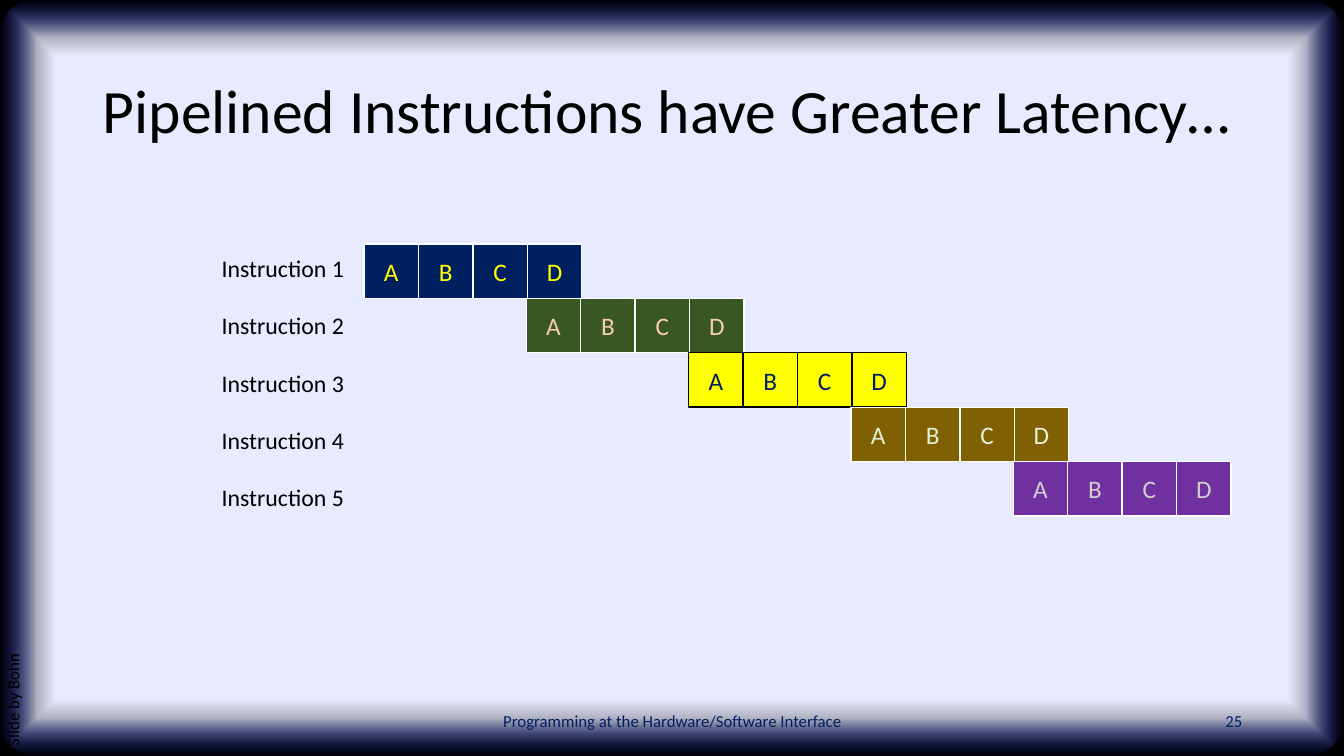
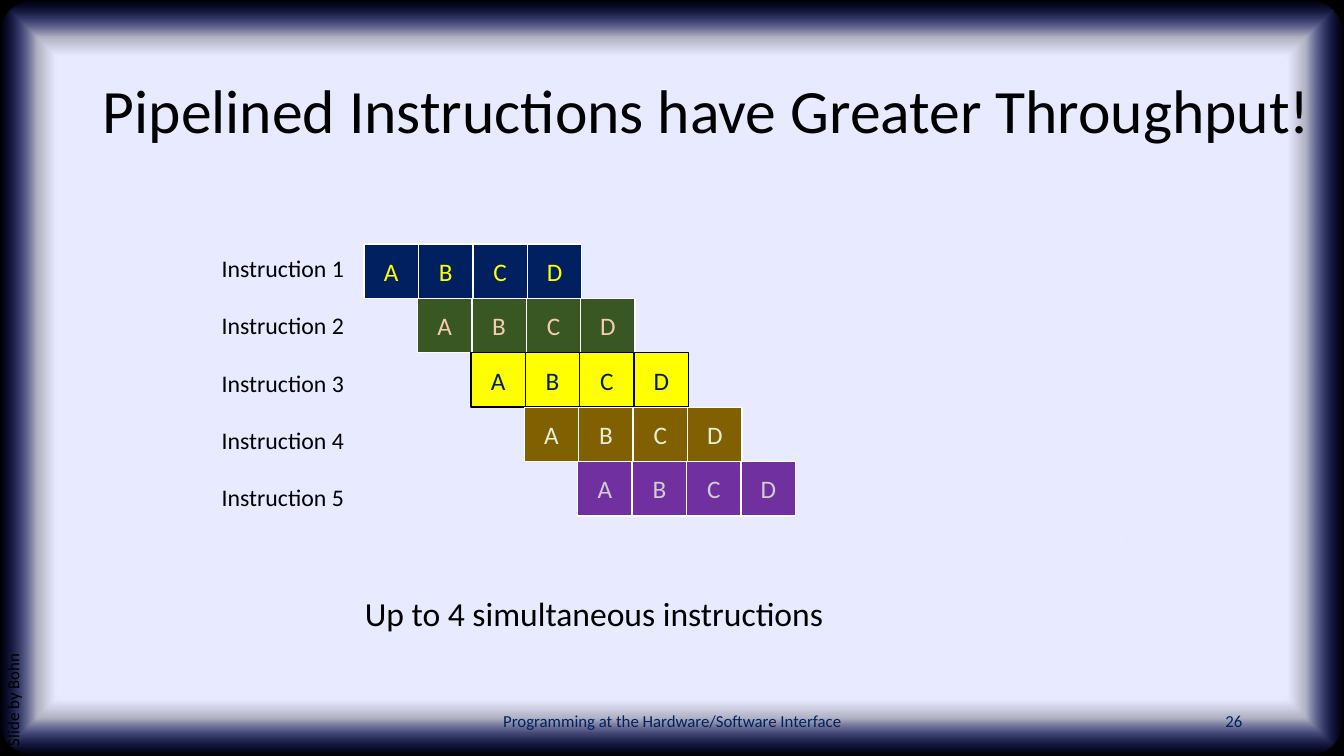
import pptx
import pptx.dml.color
import pptx.enum.shapes
import pptx.enum.text
import pptx.oxml
import pptx.oxml.ns
import pptx.util

Inches = pptx.util.Inches
Pt = pptx.util.Pt
RGBColor = pptx.dml.color.RGBColor
MSO_SHAPE = pptx.enum.shapes.MSO_SHAPE
PP_ALIGN = pptx.enum.text.PP_ALIGN
MSO_ANCHOR = pptx.enum.text.MSO_ANCHOR

FONT = "Calibri"
BLACK = RGBColor(0x00, 0x00, 0x00)
WHITE = RGBColor(0xFF, 0xFF, 0xFF)
NAVY = RGBColor(0x00, 0x20, 0x60)
GREEN = RGBColor(0x38, 0x57, 0x23)
YELLOW = RGBColor(0xFF, 0xFF, 0x00)
BROWN = RGBColor(0x80, 0x60, 0x00)
PURPLE = RGBColor(0x70, 0x30, 0xA0)
PEACH = RGBColor(0xF8, 0xCB, 0xAD)
PALE_GREEN = RGBColor(0xE2, 0xF0, 0xD9)
PALE_GREY = RGBColor(0xD0, 0xCE, 0xCE)

WIDTH, HEIGHT = 13.33, 7.5
STAGES = "ABCD"
CELL = 0.54
# Fill, outline and letter colour of each instruction
INSTRUCTIONS = [
    (NAVY, WHITE, YELLOW),
    (GREEN, WHITE, PEACH),
    (YELLOW, BLACK, NAVY),
    (BROWN, WHITE, PALE_GREEN),
    (PURPLE, WHITE, PALE_GREY),
]

GLOW = (
    '<a:gradFill rotWithShape="1" %s><a:gsLst>'
    '<a:gs pos="85000"><a:srgbClr val="E8EAFF"/></a:gs>'
    '<a:gs pos="90000"><a:srgbClr val="E8EAFF"><a:alpha val="75000"/></a:srgbClr></a:gs>'
    '<a:gs pos="100000"><a:srgbClr val="162AFF"><a:alpha val="0"/></a:srgbClr></a:gs>'
    '</a:gsLst><a:path path="shape">'
    '<a:fillToRect l="50000" t="50000" r="50000" b="50000"/></a:path></a:gradFill>'
) % pptx.oxml.ns.nsdecls("a")


def format_text(frame, size, color, align=PP_ALIGN.LEFT, spacing=None):
    for para in frame.paragraphs:
        para.alignment = align
        if spacing:
            para.line_spacing = spacing
        for span in para.runs:
            span.font.name = FONT
            span.font.size = Pt(size)
            span.font.color.rgb = color


def add_text(page, box, text, size, color=BLACK, align=PP_ALIGN.LEFT,
             anchor=MSO_ANCHOR.TOP, spacing=None, wrap=True):
    shape = page.shapes.add_textbox(*map(Inches, box))
    frame = shape.text_frame
    frame.word_wrap = wrap
    frame.vertical_anchor = anchor
    frame.text = text
    format_text(frame, size, color, align, spacing)
    return shape


def add_block(shapes, kind, box, fill, line=None):
    block = shapes.add_shape(kind, *map(Inches, box))
    block.shadow.inherit = False
    block.fill.solid()
    block.fill.fore_color.rgb = fill
    if line is None:
        block.line.fill.background()
    else:
        block.line.color.rgb = line
        block.line.width = Pt(1)
    return block


def add_master_frame(deck, page):
    """Draw the glowing frame and move it behind everything on the master."""
    box = (0, 0, WIDTH, HEIGHT)
    backdrop = add_block(page.shapes, MSO_SHAPE.RECTANGLE, box, BLACK)
    glow = add_block(page.shapes, MSO_SHAPE.ROUNDED_RECTANGLE, box, WHITE)
    glow.adjustments[0] = 0.05
    properties = glow.element.spPr
    solid = properties.find(pptx.oxml.ns.qn("a:solidFill"))
    properties.replace(solid, pptx.oxml.parse_xml(GLOW))
    tree = deck.slide_master.shapes.element
    for position, shape in enumerate((backdrop, glow), start=2):
        tree.insert(position, shape.element)


def add_page(deck, title, number):
    """Add a slide with its title, footer, number and side credit."""
    page = deck.slides.add_slide(deck.slide_layouts.get_by_name("Title Only"))
    heading = page.shapes.title
    heading.left, heading.top = Inches(0.92), Inches(0.4)
    heading.width, heading.height = Inches(12.2), Inches(1.45)
    frame = heading.text_frame
    frame.text = title
    frame.auto_size = pptx.enum.text.MSO_AUTO_SIZE.NONE
    frame.vertical_anchor = MSO_ANCHOR.MIDDLE
    format_text(frame, 44, BLACK, spacing=0.9)

    add_text(page, (4.42, 6.95, 4.5, 0.4), "Programming at the Hardware/Software Interface",
             12, NAVY, PP_ALIGN.CENTER, MSO_ANCHOR.MIDDLE)
    add_text(page, (9.42, 6.95, 3, 0.4), str(number),
             12, NAVY, PP_ALIGN.RIGHT, MSO_ANCHOR.MIDDLE)
    credit = add_text(page, (-2.44, 4.66, 5.28, 0.4), "Slide by Bohn", 12, spacing=0.9)
    credit.rotation = 270
    return page


def add_instruction(page, left, top, fill, line, letter_color):
    """Add one instruction as a group of stage cells."""
    group = page.shapes.add_group_shape()
    for index, stage in enumerate(STAGES):
        box = (left + index * CELL, top, CELL, CELL)
        cell = add_block(group.shapes, MSO_SHAPE.RECTANGLE, box, fill, line)
        cell.text_frame.text = stage
        cell.text_frame.vertical_anchor = MSO_ANCHOR.MIDDLE
        format_text(cell.text_frame, 18, letter_color, PP_ALIGN.CENTER)


def add_pipeline(page, left, top, delay):
    """Add the labels and the staircase of instructions, each starting after a delay."""
    names = "\n".join(f"Instruction {i}" for i in range(1, len(INSTRUCTIONS) + 1))
    add_text(page, (left, top, 1.43, 2.88), names, 17,
             anchor=MSO_ANCHOR.BOTTOM, spacing=2.0, wrap=False)
    for row, colors in enumerate(INSTRUCTIONS):
        add_instruction(page, left + 1.51 + row * delay, top + 0.18 + row * CELL, *colors)


def main():
    deck = pptx.Presentation()
    deck.slide_width, deck.slide_height = Inches(WIDTH), Inches(HEIGHT)

    # Latency: each instruction starts in the last stage of the one before
    latency = add_page(deck, "Pipelined Instructions have Greater Latency…", 25)
    add_master_frame(deck, latency)
    add_pipeline(latency, 2.1, 2.24, delay=1.61)

    # Throughput: a new instruction starts at every stage
    throughput = add_page(deck, "Pipelined Instructions have Greater Throughput!", 26)
    add_pipeline(throughput, 2.1, 2.24, delay=0.53)
    add_text(throughput, (3.52, 5.83, 4.79, 0.5), "Up to 4 simultaneous instructions",
             24, wrap=False)

    deck.save("out.pptx")


if __name__ == "__main__":
    main()
